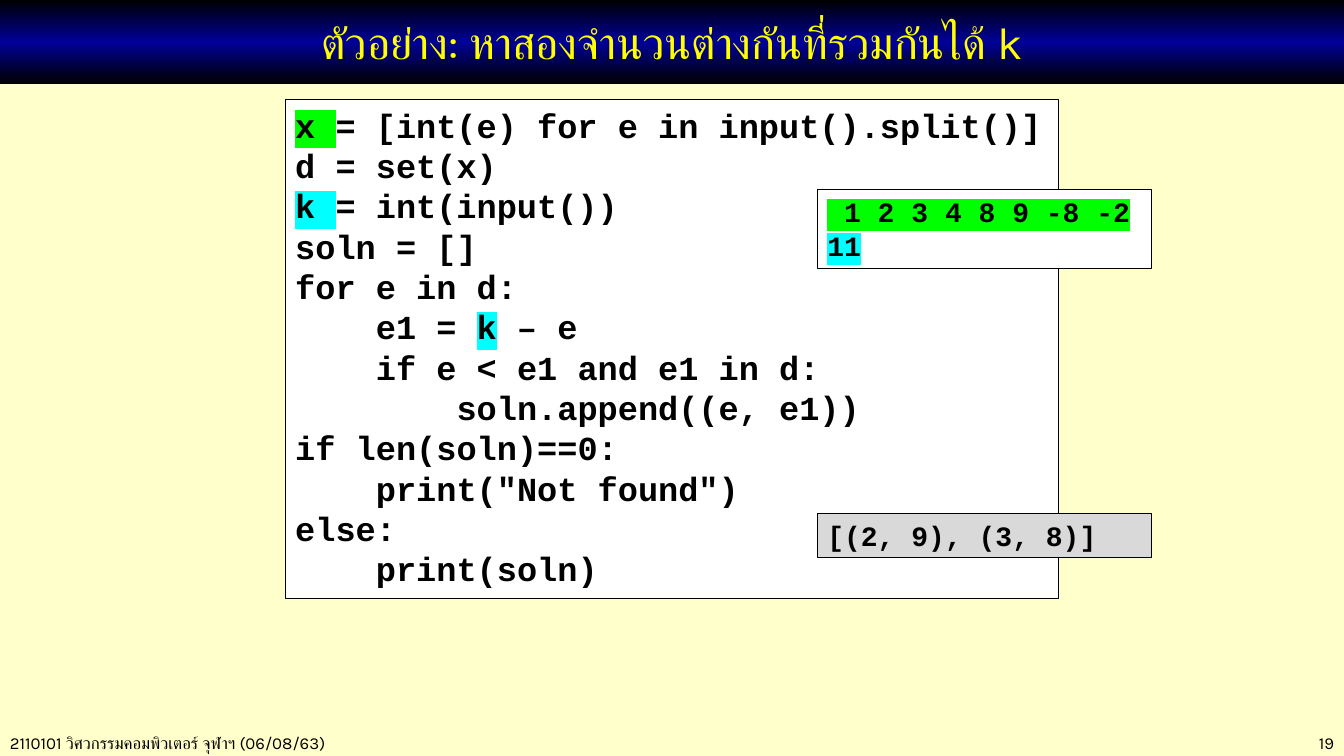
from lxml.etree import SubElement, Element
from pptx import Presentation
from pptx.dml.color import RGBColor
from pptx.enum.shapes import MSO_SHAPE as Shape
from pptx.enum.text import MSO_ANCHOR as Anchor, PP_ALIGN as Align
from pptx.oxml.ns import qn
from pptx.util import Cm, Pt

COLORS = {
    "page": "FFFFCC", "black": "000000", "navy": "000099", "yellow": "FFFF00",
    "white": "FFFFFF", "grey": "D9D9D9", "green": "00FF00", "cyan": "00FFFF",
}
TITLE = "ตัวอย่าง: หาสองจำนวนต่างกันที่รวมกันได้ k"
COURSE = "2110101 วิศวกรรมคอมพิวเตอร์ จุฬาฯ (06/08/63)"
PAGE_NUMBER = "19"
CODE = [
    [("x ", "green"), "= [int(e) for e in input().split()]"],
    ["d = set(x)"],
    [("k ", "cyan"), "= int(input())"],
    ["soln = []"],
    ["for e in d:"],
    ["    e1 = ", ("k", "cyan"), " – e"],
    ["    if e < e1 and e1 in d:"],
    ["        soln.append((e, e1))"],
    ["if len(soln)==0:"],
    ['    print("Not found")'],
    ["else:"],
    ["    print(soln)"],
]
SAMPLE_INPUT = [[(" 1 2 3 4 8 9 -8 -2", "green")], [("11", "cyan")]]
SAMPLE_OUTPUT = [["[(2, 9), (3, 8)]"]]

WIDTH, HEIGHT = 33.87, 19.05
SAMPLE_LEFT, SAMPLE_WIDTH = 20.6, 8.43
FOOTER_TOP, FOOTER_HEIGHT, NUMBER_WIDTH = 18.34, 0.76, 4.67
PANELS = [
    (CODE, (7.19, 2.51, 19.48, 12.57), "white", 24),
    (SAMPLE_INPUT, (SAMPLE_LEFT, 4.78, SAMPLE_WIDTH, 1.98), "white", 20),
    (SAMPLE_OUTPUT, (SAMPLE_LEFT, 12.93, SAMPLE_WIDTH, 1.12), "grey", 20),
]
FOOTERS = [
    (COURSE, (0, FOOTER_TOP, 13.21, FOOTER_HEIGHT), Align.LEFT),
    (PAGE_NUMBER, (WIDTH - NUMBER_WIDTH, FOOTER_TOP, NUMBER_WIDTH, FOOTER_HEIGHT), Align.RIGHT),
]


def color(name):
    return RGBColor.from_string(COLORS[name])


def add_span(para, text, face, size, ink="black", bold=False, marker=None):
    span = para.add_run()
    span.text = text
    font = span.font
    font.size, font.bold, font.name = Pt(size), bold, face
    font.color.rgb = color(ink)
    latin = span._r.rPr.find(qn("a:latin"))
    script = Element(qn("a:cs"), typeface=face)
    latin.addnext(script)
    if marker:
        highlight = Element(qn("a:highlight"))
        SubElement(highlight, qn("a:srgbClr"), val=COLORS[marker])
        latin.addprevious(highlight)


def write_lines(box, lines, align, **style):
    frame = box.text_frame
    frame.word_wrap = True
    for index, line in enumerate(lines):
        para = frame.add_paragraph() if index else frame.paragraphs[0]
        para.alignment = align
        for part in line:
            text, marker = part if isinstance(part, tuple) else (part, None)
            add_span(para, text, marker=marker, **style)


def add_box(page, place):
    box = page.shapes.add_shape(Shape.RECTANGLE, *map(Cm, place))
    box.shadow.inherit = False
    return box


def add_title(page):
    banner = add_box(page, (0, 0, WIDTH, 2.11))
    banner.line.fill.background()
    banner.fill.gradient()
    banner.fill.gradient_angle = 270
    stops = banner._element.spPr.find(qn("a:gradFill")).find(qn("a:gsLst"))
    for stop in list(stops):
        stops.remove(stop)
    for percent, name in [(0, "black"), (50, "navy"), (100, "black")]:
        stop = SubElement(stops, qn("a:gs"), pos=str(percent * 1000))
        SubElement(stop, qn("a:srgbClr"), val=COLORS[name])
    banner.text_frame.vertical_anchor = Anchor.MIDDLE
    write_lines(banner, [[TITLE]], Align.CENTER, face="Karla", size=32, ink="yellow")


def add_panel(page, lines, place, fill, size):
    panel = add_box(page, place)
    panel.fill.solid()
    panel.fill.fore_color.rgb = color(fill)
    panel.line.color.rgb = color("black")
    panel.line.width = Pt(0.75)
    panel.text_frame.vertical_anchor = Anchor.TOP
    write_lines(panel, lines, Align.LEFT, face="Courier New", size=size, bold=True)


def main():
    deck = Presentation()
    deck.slide_width, deck.slide_height = Cm(WIDTH), Cm(HEIGHT)
    page = deck.slides.add_slide(deck.slide_layouts[6])
    page.background.fill.solid()
    page.background.fill.fore_color.rgb = color("page")
    for text, place, align in FOOTERS:
        footer = page.shapes.add_textbox(*map(Cm, place))
        write_lines(footer, [[text]], align, face="Karla", size=12)
    add_title(page)
    for panel in PANELS:
        add_panel(page, *panel)
    deck.save("out.pptx")


if __name__ == "__main__":
    main()
